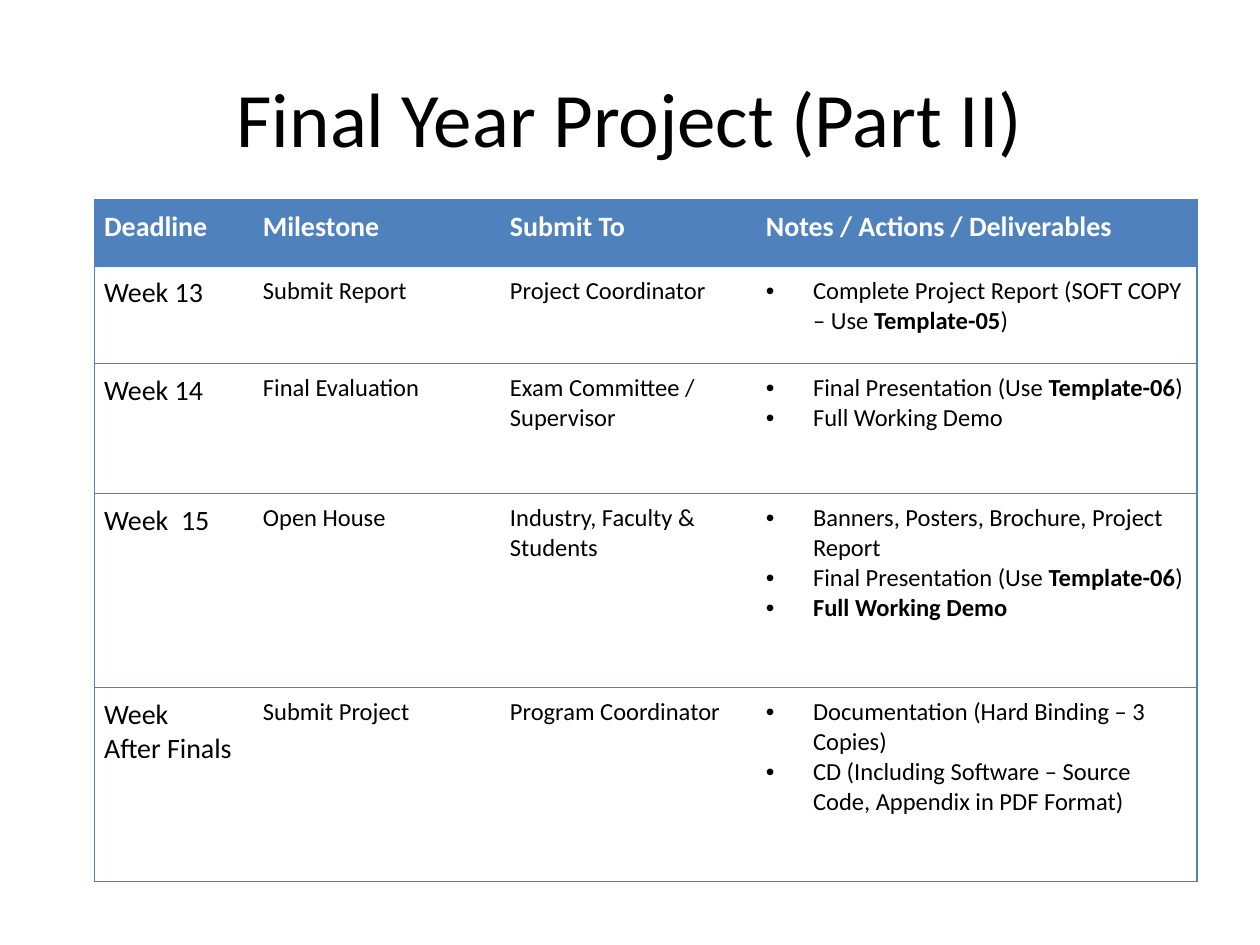
"""Build the final year project schedule slide."""
from dataclasses import dataclass

from lxml import etree
from pptx import Presentation, util as u
from pptx.dml.color import RGBColor
from pptx.enum import text
from pptx.oxml import ns

BLUE, WHITE, BLACK = "4F81BD", "FFFFFF", "000000"
FONT = "Calibri"
PLAIN_STYLE = "{2D5ABB26-0587-4C30-8999-92F81FD0307C}"
COLUMN_WIDTHS = (3.2, 4.98, 5.16, 8.89)
HEADINGS = ("Deadline", "Milestone", "Submit To", "Notes / Actions / Deliverables")


@dataclass(frozen=True)
class Span:
    words: str
    bold: bool = False


@dataclass(frozen=True)
class Style:
    size: float
    colour: str = BLACK
    bullet: bool = False


@dataclass(frozen=True)
class Milestone:
    height: float
    deadline: tuple[str, ...]
    name: str
    submit_to: str
    notes: tuple[tuple[Span, ...], ...]


PRESENTATION = (Span("Final Presentation (Use "), Span("Template-06", True), Span(")"))
MILESTONES = (
    Milestone(1.96, ("Week 13",), "Submit Report", "Project Coordinator", (
        (Span("Complete Project Report (SOFT COPY – Use "),
         Span("Template-05", True), Span(")")),
    )),
    Milestone(2.62, ("Week 14",), "Final Evaluation", "Exam Committee / Supervisor", (
        PRESENTATION,
        (Span("Full Working Demo"),),
    )),
    Milestone(3.91, ("Week  15",), "Open House", "Industry, Faculty & Students", (
        (Span("Banners, Posters, Brochure, Project Report"),),
        PRESENTATION,
        (Span("Full Working Demo", True),),
    )),
    Milestone(3.91, ("Week", "After Finals"), "Submit Project", "Program Coordinator", (
        (Span("Documentation (Hard Binding – 3 Copies)"),),
        (Span("CD (Including Software – Source Code, Appendix in PDF Format)"),),
    )),
)


def rgb(value: str) -> RGBColor:
    return RGBColor.from_string(value)


def add_bullet(para) -> None:
    properties = para._p.get_or_add_pPr()
    properties.set("marL", str(u.Cm(0.95)))
    properties.set("indent", str(-u.Cm(0.95)))
    etree.SubElement(properties, ns.qn("a:buFont"), typeface="Arial")
    etree.SubElement(properties, ns.qn("a:buChar"), char="•")


def write(frame, lines: tuple[tuple[Span, ...], ...], style: Style) -> None:
    for index, line in enumerate(lines):
        para = frame.add_paragraph() if index else frame.paragraphs[0]
        if style.bullet:
            add_bullet(para)
        for span in line:
            run = para.add_run()
            run.text = span.words
            run.font.name = FONT
            run.font.size = u.Pt(style.size)
            run.font.bold = span.bold
            run.font.color.rgb = rgb(style.colour)


def add_borders(cell, sides: str) -> None:
    properties = cell._tc.get_or_add_tcPr()
    for side in sides:
        line = etree.SubElement(properties, ns.qn(f"a:ln{side}"), w=str(u.Pt(1)))
        fill = etree.SubElement(line, ns.qn("a:solidFill"))
        etree.SubElement(fill, ns.qn("a:srgbClr"), val=BLUE)


def fill_row(table, row: int, contents: list, background: str) -> None:
    last = len(contents) - 1
    for column, (lines, style) in enumerate(contents):
        cell = table.cell(row, column)
        cell.margin_left = cell.margin_right = u.Cm(0.2)
        cell.margin_top = cell.margin_bottom = u.Cm(0.2)
        sides = ("L" if column == 0 else "") + ("R" if column == last else "") + "TB"
        add_borders(cell, sides)
        cell.fill.solid()
        cell.fill.fore_color.rgb = rgb(background)
        write(cell.text_frame, lines, style)


def add_title(page, words: str) -> None:
    box = page.shapes.add_textbox(u.Cm(1.27), u.Cm(0.76), u.Cm(22.86), u.Cm(3.18))
    frame = box.text_frame
    frame.word_wrap = True
    frame.vertical_anchor = text.MSO_ANCHOR.MIDDLE
    write(frame, ((Span(words),),), Style(44))
    frame.paragraphs[0].alignment = text.PP_ALIGN.CENTER


def add_schedule(page) -> None:
    heights = (1.35, *(item.height for item in MILESTONES))
    table = page.shapes.add_table(
        len(heights), len(COLUMN_WIDTHS), u.Cm(1.9), u.Cm(4.02),
        u.Cm(sum(COLUMN_WIDTHS)), u.Cm(sum(heights))).table
    table.first_row = table.horz_banding = False
    table._tbl.tblPr.find(ns.qn("a:tableStyleId")).text = PLAIN_STYLE
    for column, width in zip(table.columns, COLUMN_WIDTHS):
        column.width = u.Cm(width)
    for row, height in zip(table.rows, heights):
        row.height = u.Cm(height)

    header, week, body = Style(16, WHITE), Style(16), Style(14)
    fill_row(table, 0, [(((Span(words, True),),), header) for words in HEADINGS], BLUE)
    for row, item in enumerate(MILESTONES, start=1):
        fill_row(table, row, [
            (tuple((Span(words),) for words in item.deadline), week),
            (((Span(item.name),),), body),
            (((Span(item.submit_to),),), body),
            (item.notes, Style(14, bullet=True)),
        ], WHITE)


def main() -> None:
    deck = Presentation()
    deck.slide_width, deck.slide_height = u.Cm(25.4), u.Cm(19.05)
    page = deck.slides.add_slide(deck.slide_layouts[6])
    add_title(page, "Final Year Project (Part II)")
    add_schedule(page)
    deck.save("out.pptx")


if __name__ == "__main__":
    main()
